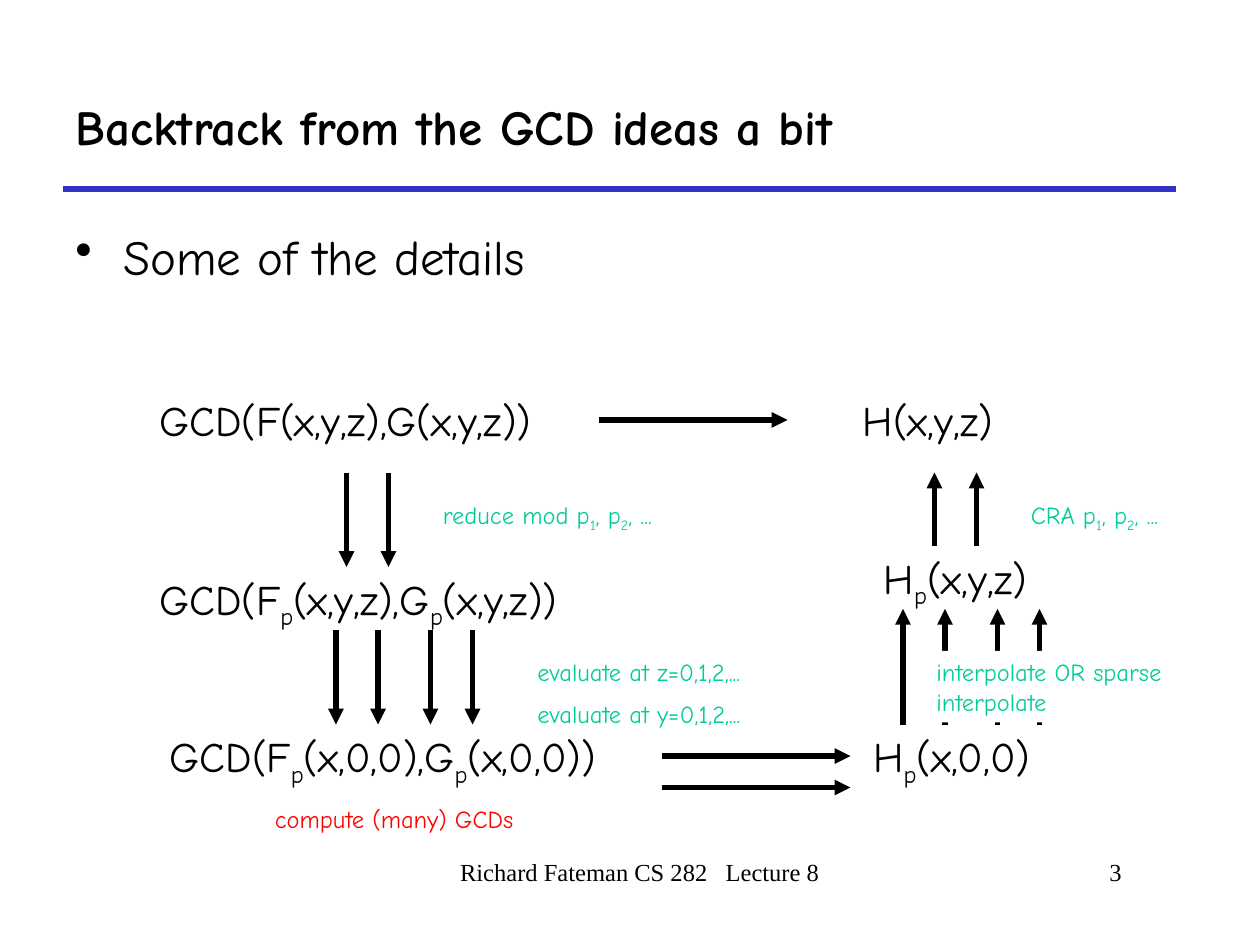
from lxml import etree
from pptx import Presentation
from pptx import util as u
from pptx.dml.color import RGBColor
from pptx.enum import shapes, text
from pptx.oxml import ns

COLORS = {"ink": "000000", "rule": "3333CC", "step": "00CC99",
          "work": "FF0000", "paper": "FFFFFF"}
COLUMNS, ROWS = 120, 90
WIDTH, HEIGHT = u.Inches(10), u.Inches(7.5)
HAND, SERIF = "Comic Neue", "Times New Roman"


def color(name):
    return RGBColor.from_string(COLORS[name])


def across(columns):
    return round(WIDTH * columns / COLUMNS)


def down(rows):
    return round(HEIGHT * rows / ROWS)


def add_span(para, words, size, ink, font, bold, lowered):
    span = para.add_run()
    span.text = words
    span.font.size = u.Pt(size)
    span.font.name = font
    span.font.bold = bold
    span.font.color.rgb = color(ink)
    if lowered:
        span.font._element.set("baseline", "-25000")


def add_words(page, words, left, top, width, height, size, ink="ink", font=HAND,
              bold=False, before=0, align=text.PP_ALIGN.LEFT, grow=False,
              anchor=text.MSO_ANCHOR.TOP, filled=False):
    place = across(left), down(top), across(width), down(height)
    if filled:
        box = page.shapes.add_shape(shapes.MSO_SHAPE.RECTANGLE, *place)
        box.shadow.inherit = False
        box.fill.solid()
        box.fill.fore_color.rgb = color("paper")
        box.line.fill.background()
    else:
        box = page.shapes.add_textbox(*place)
    frame = box.text_frame
    frame.word_wrap = True
    frame.vertical_anchor = anchor
    if grow:
        frame.auto_size = text.MSO_AUTO_SIZE.SHAPE_TO_FIT_TEXT
    para = frame.paragraphs[0]
    para.alignment = align
    para.space_before = u.Pt(before)
    first, *rest = words.split("_")
    add_span(para, first, size, ink, font, bold, False)
    for part in rest:
        add_span(para, part[0], size, ink, font, bold, True)
        add_span(para, part[1:], size, ink, font, bold, False)
    return para


def indent(para, margin, first_line=0):
    props = para._p.get_or_add_pPr()
    props.set("marL", str(u.Inches(margin)))
    props.set("indent", str(u.Inches(first_line)))
    return props


def add_bullet(para):
    props = indent(para, 0.38, -0.38)
    bullet = etree.SubElement(props, ns.qn("a:buChar"))
    bullet.set("char", "•")


def add_formula(page, words, left, top, width):
    height = 6.7 if "_" in words else 6
    add_words(page, words, left, top, width, height, 24, before=15, grow=True)


def add_note(page, words, left, top, width, height=4.1, ink="step", filled=False):
    add_words(page, words, left, top, width, height, 14, ink,
              before=8.8, grow=True, filled=filled)


def add_footer(page, words, left, width, align):
    indent(add_words(page, words, left, 81, width, 6, 14, font=SERIF, align=align), 0.24)


def add_line(page, start, end, ink="ink", arrow=True):
    line = page.shapes.add_connector(
        shapes.MSO_CONNECTOR.STRAIGHT, across(start[0]), down(start[1]),
        across(end[0]), down(end[1]))
    line.line.color.rgb = color(ink)
    line.line.width = u.Pt(3)
    if arrow:
        head = etree.SubElement(line.line._get_or_add_ln(), ns.qn("a:tailEnd"))
        head.set("type", "triangle")
    etree.SubElement(line._element.spPr, ns.qn("a:effectLst"))


def add_upright_arrows(page, columns, start, end):
    for column in columns:
        add_line(page, (column, start), (column, end))


def add_level_arrows(page, rows, start, end):
    for row in rows:
        add_line(page, (start, row), (end, row))


def main():
    deck = Presentation()
    deck.slide_width, deck.slide_height = WIDTH, HEIGHT
    page = deck.slides.add_slide(deck.slide_layouts[6])

    add_line(page, (6, 18), (112, 18), "rule", arrow=False)
    add_words(page, "Backtrack from the GCD ideas a bit", 6, 6, 106, 12, 28,
              bold=True, anchor=text.MSO_ANCHOR.MIDDLE)
    add_bullet(add_words(page, "Some of the details", 6, 21, 109, 58, 28, before=7))

    for formula in (
        ("GCD(F(x,y,z),G(x,y,z))", 14, 37, 48),
        ("GCD(F_p(x,0,0),G_p(x,0,0))", 15, 69, 55),
        ("GCD(F_p(x,y,z),G_p(x,y,z))", 14, 54, 56),
        ("H(x,y,z)", 81, 37, 23),
        ("H_p(x,y,z)", 83, 52, 23),
        ("H_p(x,0,0)", 82, 69, 23),
    ):
        add_formula(page, *formula)

    add_level_arrows(page, (40,), 57, 75)
    add_upright_arrows(page, (33, 37), 45, 54)
    add_upright_arrows(page, (32, 36, 41, 45), 60, 69)
    add_level_arrows(page, (72, 75), 63, 81)
    add_upright_arrows(page, (86, 90, 95, 99), 69, 58)
    add_upright_arrows(page, (89, 93), 52, 45)

    add_note(page, "reduce mod p_1, p_2, ...", 41, 47, 26, 4.4)
    add_note(page, "evaluate at z=0,1,2,...", 50, 62, 30)
    add_note(page, "evaluate at y=0,1,2,...", 50, 66, 30)
    add_note(page, "compute (many) GCDs", 25, 76, 30, ink="work")
    add_note(page, "interpolate OR sparse interpolate", 88, 62, 30, 6.8, filled=True)
    add_note(page, "CRA p_1, p_2, ...", 97, 47, 19, 4.4, filled=True)

    add_footer(page, "Richard Fateman CS 282   Lecture 8", 37, 45, text.PP_ALIGN.CENTER)
    add_footer(page, "3", 83, 25, text.PP_ALIGN.RIGHT)
    deck.save("out.pptx")


if __name__ == "__main__":
    main()
